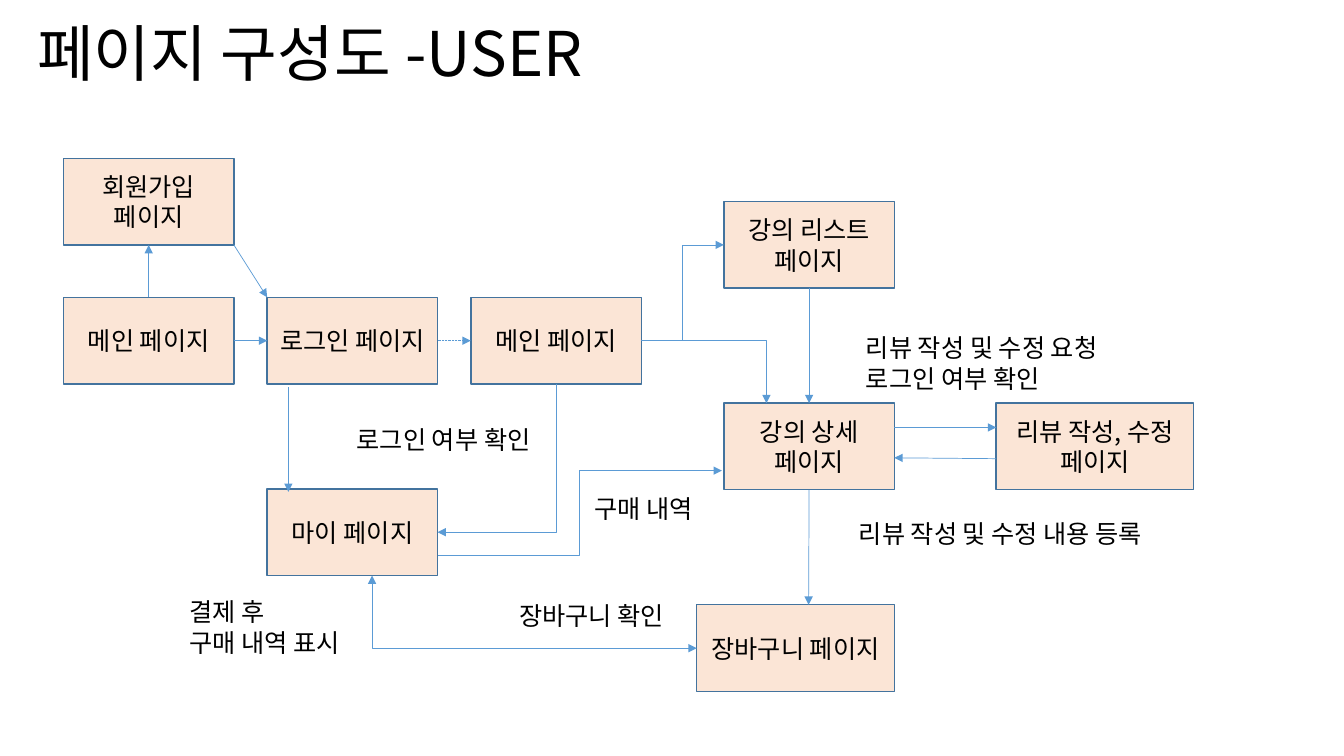
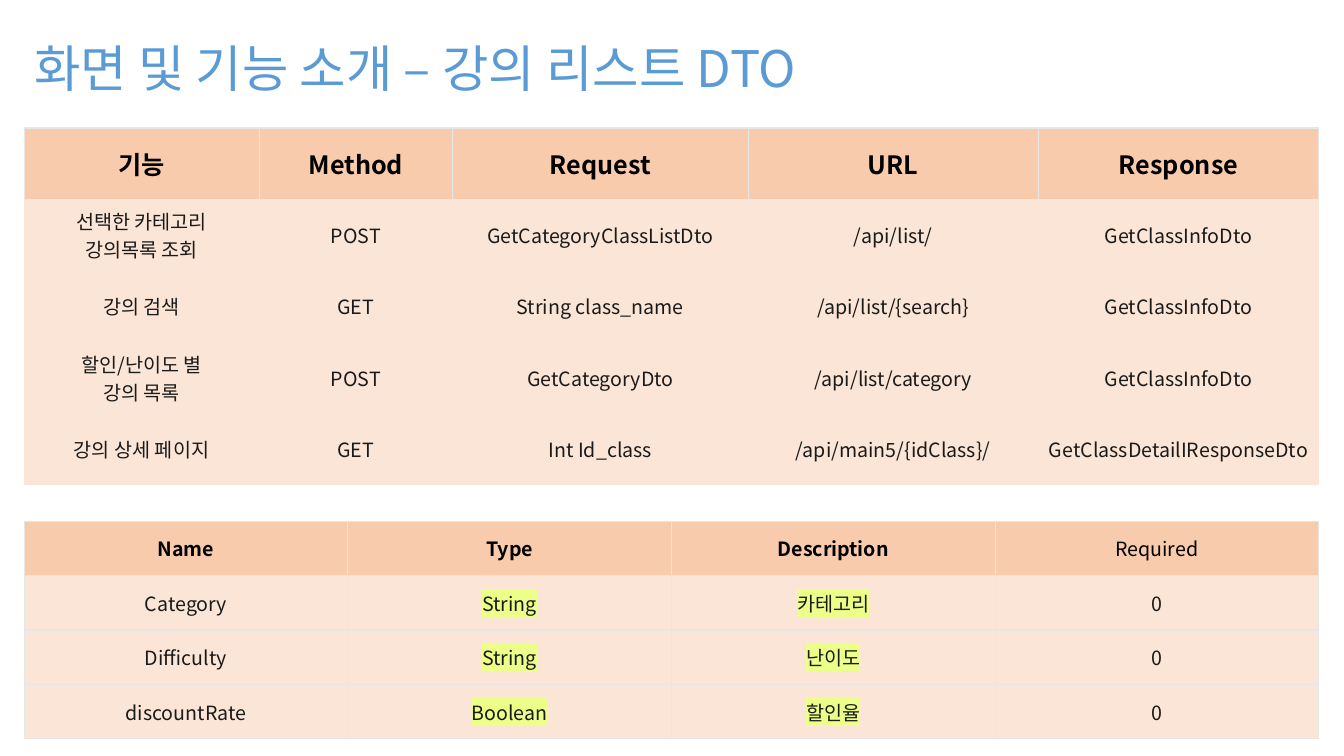
from collections import namedtuple

from lxml.etree import SubElement
from pptx import Presentation
from pptx.dml.color import RGBColor
from pptx.enum.dml import MSO_LINE_DASH_STYLE as DASH
from pptx.enum.shapes import MSO_CONNECTOR as LINK, MSO_SHAPE as SHAPE
from pptx.enum.text import MSO_ANCHOR as ANCHOR, MSO_AUTO_SIZE as FIT, PP_ALIGN as ALIGN
from pptx.oxml import parse_xml
from pptx.oxml.ns import nsdecls, qn
from pptx.util import Inches, Pt

FONT = "Noto Sans CJK KR"
BLACK = RGBColor(0x00, 0x00, 0x00)
INK = RGBColor(0x1A, 0x1A, 0x1A)
BLUE = RGBColor(0x5B, 0x9B, 0xD5)
EDGE = RGBColor(0x43, 0x73, 0x9E)
PEACH = RGBColor(0xFB, 0xE5, 0xD6)
APRICOT = RGBColor(0xF8, 0xCB, 0xAD)
RULE = RGBColor(0xE6, 0xE6, 0xE6)
MARKER = RGBColor(0xEC, 0xFF, 0x88)

SLIDE_W, SLIDE_H = 13.33, 7.5
PAGE_W, PAGE_H = 1.69, 0.86
WIDE_W = 1.96
TABLE_X, TABLE_W = 0.24, 12.84


class Box(namedtuple("Box", "x y w h")):
    def at(self, across, down):
        return self.x + self.w * across, self.y + self.h * down


PAGES = {
    "signup": ("회원가입 페이지", Box(0.63, 1.57, PAGE_W, PAGE_H)),
    "start": ("메인 페이지", Box(0.63, 2.95, PAGE_W, PAGE_H)),
    "login": ("로그인 페이지", Box(2.65, 2.95, PAGE_W, PAGE_H)),
    "main": ("메인 페이지", Box(4.67, 2.95, PAGE_W, PAGE_H)),
    "list": ("강의 리스트 페이지", Box(7.18, 2, PAGE_W, PAGE_H)),
    "detail": ("강의 상세 페이지", Box(7.18, 4, PAGE_W, PAGE_H)),
    "review": ("리뷰 작성, 수정 페이지", Box(9.88, 4, WIDE_W, PAGE_H)),
    "my": ("마이 페이지", Box(2.65, 4.85, PAGE_W, PAGE_H)),
    "cart": ("장바구니 페이지", Box(6.91, 6, WIDE_W, PAGE_H)),
}

NOTES = [
    (["로그인 여부 확인"], Box(3.44, 4.16, 2.12, 0.4)),
    (["리뷰 작성 및 수정 요청", "로그인 여부 확인"], Box(8.49, 3.25, 2.78, 0.71)),
    (["구매 내역"], Box(5.8, 4.84, 1.29, 0.4)),
    (["결제 후", "구매 내역 표시"], Box(1.78, 5.87, 1.87, 0.71)),
    (["리뷰 작성 및 수정 내용 등록"], Box(8.42, 5.09, 3.36, 0.4)),
    (["장바구니 확인"], Box(5.05, 5.91, 1.79, 0.4)),
]

API_COLUMNS = [2.33, 1.92, 2.93, 2.88, 2.78]
API_ROWS = [
    ["기능", "Method", "Request", "URL", "Response"],
    ["선택한 카테고리\n강의목록 조회", "POST", "GetCategoryClassListDto",
     "/api/list/", "GetClassInfoDto"],
    ["강의 검색", "GET", "String class_name", "/api/list/{search}", "GetClassInfoDto"],
    ["할인/난이도 별\n강의 목록", "POST", "GetCategoryDto",
     "/api/list/category", "GetClassInfoDto"],
    ["강의 상세 페이지", "GET", "Int Id_class",
     "/api/main5/{idClass}/", "GetClassDetailIResponseDto"],
]
FIELD_ROWS = [
    ["Name", "Type", "Description", "Required"],
    ["Category", "String", "카테고리", "0"],
    ["Difficulty", "String", "난이도", "0"],
    ["discountRate", "Boolean", "할인율", "0"],
]


def inches(*values):
    return [Inches(value) for value in values]


def write(frame, lines, size, color, align=ALIGN.LEFT, bold=False, marker=None):
    for number, line in enumerate(lines):
        paragraph = frame.paragraphs[0] if number == 0 else frame.add_paragraph()
        paragraph.alignment = align
        run = paragraph.add_run()
        run.text = line
        font = run.font
        font.name, font.size, font.bold = FONT, Pt(size), bold
        font.color.rgb = color
        props = run.font._element
        SubElement(props, qn("a:ea")).set("typeface", FONT)
        if marker:
            props.find(qn("a:solidFill")).addnext(parse_xml(
                f'<a:highlight {nsdecls("a")}><a:srgbClr val="{marker}"/></a:highlight>'))


def title(slide, text, box, size, color, anchor, spacing=None):
    frame = slide.shapes.add_textbox(*inches(*box)).text_frame
    frame.word_wrap = True
    frame.vertical_anchor = anchor
    write(frame, [text], size, color)
    frame.paragraphs[0].line_spacing = spacing


def page(slide, name, box):
    shape = slide.shapes.add_shape(SHAPE.RECTANGLE, *inches(*box))
    shape.shadow.inherit = False
    shape.fill.solid()
    shape.fill.fore_color.rgb = PEACH
    shape.line.color.rgb = EDGE
    shape.line.width = Pt(1)
    frame = shape.text_frame
    frame.word_wrap = True
    frame.vertical_anchor = ANCHOR.MIDDLE
    write(frame, [name], 18, BLACK, ALIGN.CENTER)


def note(slide, lines, box):
    frame = slide.shapes.add_textbox(*inches(*box)).text_frame
    frame.word_wrap = False
    frame.auto_size = FIT.SHAPE_TO_FIT_TEXT
    write(frame, lines, 18, BLACK)


def arrow(slide, start, end, bend=None, both=False, dash=None):
    kind = LINK.STRAIGHT if bend is None else LINK.ELBOW
    link = slide.shapes.add_connector(kind, *inches(*start, *end))
    link.line.color.rgb = BLUE
    link.line.width = Pt(0.5)
    if dash:
        link.line.dash_style = dash
    props = link._element.spPr
    if bend is not None:
        guides = props.find(qn("a:prstGeom")).get_or_add_avLst()
        guide = SubElement(guides, qn("a:gd"))
        guide.set("name", "adj1")
        guide.set("fmla", f"val {round(bend * 100000)}")
    stroke = props.find(qn("a:ln"))
    for tip in ["a:headEnd", "a:tailEnd"] if both else ["a:tailEnd"]:
        SubElement(stroke, qn(tip)).set("type", "triangle")
    SubElement(props, qn("a:effectLst"))
    return link


def corner_arrow(slide, start, end):
    (x1, y1), (x2, y2) = start, end
    mid_x, mid_y = (x1 + x2) / 2, (y1 + y2) / 2
    half_w, half_h = (y2 - y1) / 2, (x1 - x2) / 2
    link = arrow(slide, (mid_x - half_w, mid_y - half_h), (mid_x + half_w, mid_y + half_h), 0.5)
    link.rotation = 90
    geometry = link._element.spPr.find(qn("a:prstGeom"))
    geometry.set("prst", "bentConnector2")
    guides = geometry.get_or_add_avLst()
    guides.remove(guides[0])
    link._element.spPr.find(qn("a:xfrm")).set("rot", str(90 * 60000))


def sitemap_slide(slide):
    title(slide, "페이지 구성도 -USER", Box(0.27, 0.18, 9.4, 0.77), 44, BLACK, ANCHOR.MIDDLE, 0.9)
    for name, box in PAGES.values():
        page(slide, name, box)
    signup, start, login, main, listing, detail, review, my, cart = (
        box for _, box in PAGES.values())

    arrow(slide, start.at(0.5, 0), signup.at(0.5, 1))
    arrow(slide, signup.at(1, 1), login.at(0, 0))
    arrow(slide, start.at(1, 0.5), login.at(0, 0.5))
    arrow(slide, login.at(1, 0.5), main.at(0, 0.5), dash=DASH.ROUND_DOT)
    arrow(slide, main.at(1, 0.5), listing.at(0, 0.5), 0.5)
    arrow(slide, main.at(1, 0.5), detail.at(0.25, 0), 1)
    arrow(slide, listing.at(0.5, 1), detail.at(0.5, 0))
    arrow(slide, (2.86, 3.84), (2.86, 4.88))
    corner_arrow(slide, main.at(0.5, 1), my.at(1, 0.5))
    arrow(slide, detail.at(0.5, 1), (8.02, cart.y))
    arrow(slide, (my.x + my.w, 5.51), (7.16, 4.67), 0.5)
    arrow(slide, detail.at(1, 0.28), review.at(0, 0.28))
    arrow(slide, review.at(0, 0.64), detail.at(1, 0.63))
    arrow(slide, (3.69, my.y + my.h), cart.at(0, 0.5), 0, both=True)

    for lines, box in NOTES:
        note(slide, lines, box)


def borders(cell, ruled_sides):
    props = cell._tc.get_or_add_tcPr()
    for place, side in enumerate("LRTB"):
        paint = f'<a:solidFill><a:srgbClr val="{RULE}"/></a:solidFill>'
        if side not in ruled_sides:
            paint = "<a:noFill/>"
        props.insert(place, parse_xml(
            f'<a:ln{side} {nsdecls("a")} w="{Pt(1)}">{paint}</a:ln{side}>'))


def grid(slide, rows, box, columns, head_size, head_rules, body_rules, plain=(), marked=()):
    table = slide.shapes.add_table(len(rows), len(columns), *inches(*box)).table
    table.horz_banding = False
    for column, width in zip(table.columns, columns):
        column.width = Inches(width)
    for r, texts in enumerate(rows):
        head = r == 0
        table.rows[r].height = Inches(box.h / len(rows))
        for c, text in enumerate(texts):
            cell = table.cell(r, c)
            cell.fill.solid()
            cell.fill.fore_color.rgb = APRICOT if head else PEACH
            cell.vertical_anchor = ANCHOR.MIDDLE
            cell.margin_left = cell.margin_right = Inches(0.05)
            borders(cell, head_rules if head else body_rules)
            write(cell.text_frame, text.split("\n"), head_size if head else 14,
                  BLACK if head else INK, ALIGN.CENTER,
                  bold=head and text not in plain,
                  marker=MARKER if c in marked and not head else None)


def dto_slide(slide):
    title(slide, "화면 및 기능 소개 – 강의 리스트 DTO", Box(0.24, 0.32, 10.95, 0.8),
          36, BLUE, ANCHOR.TOP)
    grid(slide, API_ROWS, Box(TABLE_X, 1.27, TABLE_W, 3.54), API_COLUMNS, 18, "LRT", "")
    grid(slide, FIELD_ROWS, Box(TABLE_X, 5.17, TABLE_W, 2.16), [TABLE_W / 4] * 4,
         14, "LRTB", "LRTB", plain=("Required",), marked=(1, 2))


def main():
    deck = Presentation()
    deck.slide_width, deck.slide_height = inches(SLIDE_W, SLIDE_H)
    blank = deck.slide_layouts[6]
    for build in (sitemap_slide, dto_slide):
        build(deck.slides.add_slide(blank))
    deck.save("out.pptx")


if __name__ == "__main__":
    main()
